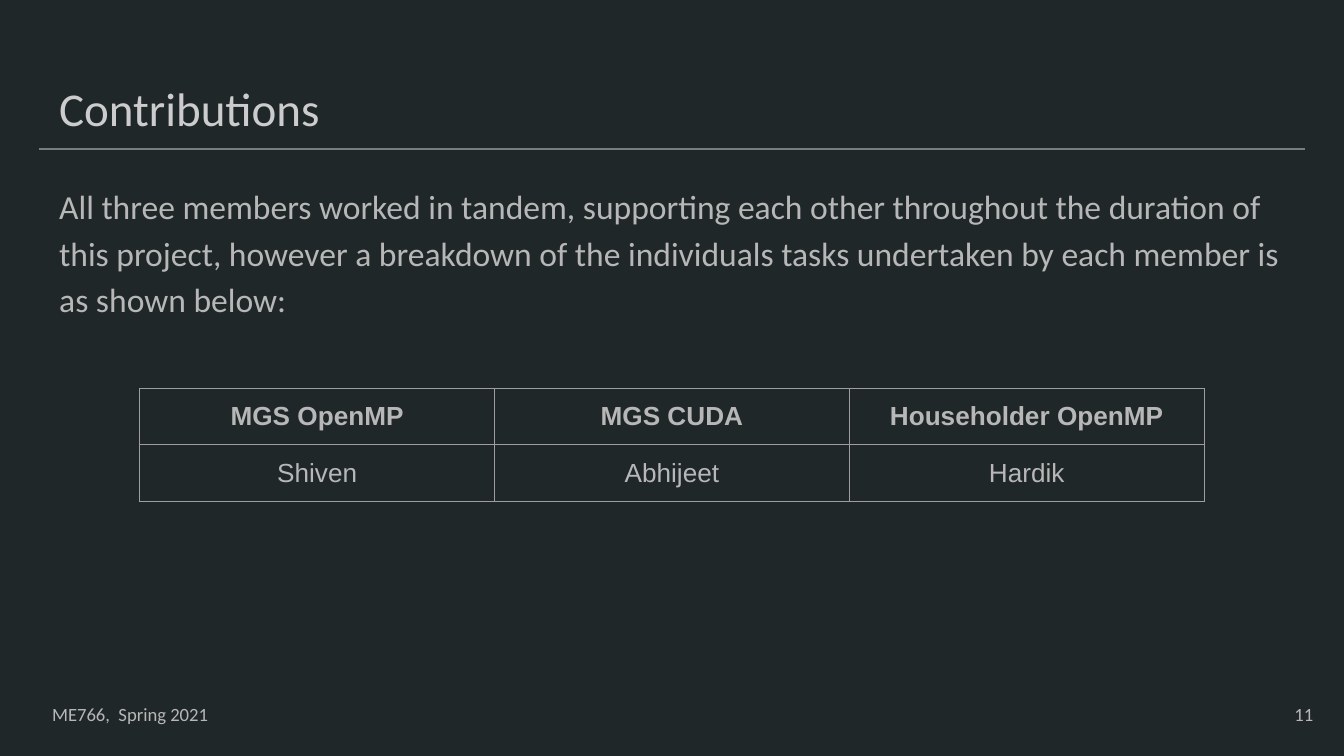
"""Build the Contributions slide: a title, a paragraph and a table of tasks."""
from lxml.etree import SubElement
from pptx import Presentation
from pptx.dml.color import RGBColor
from pptx.enum.shapes import MSO_CONNECTOR
from pptx.enum.text import MSO_ANCHOR, MSO_AUTO_SIZE, PP_ALIGN
from pptx.oxml import parse_xml
from pptx.oxml.ns import nsdecls, qn
from pptx.util import Inches, Pt

DARK = RGBColor(0x20, 0x27, 0x29)
PALE = RGBColor(0xCC, 0xCC, 0xCC)
GREY = RGBColor(0xB7, 0xB7, 0xB7)
EDGE = RGBColor(0x9E, 0x9E, 0x9E)
RULE = RGBColor(0x78, 0x7D, 0x7E)
PAD = Inches(0.1)

deck = Presentation()
deck.slide_width = Inches(10)
deck.slide_height = deck.slide_width * 9 // 16
wide, high = deck.slide_width, deck.slide_height
slide = deck.slides.add_slide(deck.slide_layouts[1])
slide.background.fill.solid()
slide.background.fill.fore_color.rgb = DARK


def place(shape, left, top, width, height):
    shape.left, shape.top = Inches(left), Inches(top)
    shape.width, shape.height = Inches(width), Inches(height)


def write(frame, text, size, color=GREY, align=PP_ALIGN.LEFT, font="Calibri"):
    frame.margin_left = frame.margin_right = PAD
    frame.margin_top = frame.margin_bottom = PAD
    frame.word_wrap = True
    frame.text = text
    para = frame.paragraphs[0]
    para.alignment = align
    para.font.size, para.font.name = Pt(size), font
    para.font.color.rgb = color
    return para


edge, level = Inches(0.29), Inches(1.11)
line = slide.shapes.add_connector(
    MSO_CONNECTOR.STRAIGHT, edge, level, wide - edge, level)
line.line.color.rgb = RULE
line.line.width = Pt(0.75)
SubElement(line._element.spPr, qn("a:effectLst"))

title, body = slide.shapes.title, slide.placeholders[1]
place(title, 0.34, 0.49, 9.32, 0.63)
place(body, 0.34, 1.24, 9.32, 3.86)
write(title.text_frame, "Contributions", 25.2, PALE)
para = write(
    body.text_frame,
    "All three members worked in tandem, supporting each other throughout the duration of "
    "this project, however a breakdown of the individuals tasks undertaken by each member is "
    "as shown below:", 18)
para.line_spacing = 1.15
para.space_before, para.space_after = Pt(0), Pt(12)
props = para._p.get_or_add_pPr()
props.set("marL", "0")
props.set("indent", "0")
SubElement(props, qn("a:buNone"))
props.append(props.find(qn("a:defRPr")))
for shape in (title, body):
    shape.text_frame.vertical_anchor = MSO_ANCHOR.TOP
    shape.text_frame.auto_size = MSO_AUTO_SIZE.NONE

tasks = [
    ["MGS OpenMP", "MGS CUDA", "Householder OpenMP"],
    ["Shiven", "Abhijeet", "Hardik"],
]
col, row = 2.64, 0.42
frame = slide.shapes.add_table(
    2, 3, Inches(1.04), Inches(2.89), Inches(3 * col), Inches(2 * row))
table = frame.table
table.first_row = table.horz_banding = False
for r, names in enumerate(tasks):
    for c, name in enumerate(names):
        cell = table.cell(r, c)
        cell.margin_left = cell.margin_right = PAD
        cell.margin_top = cell.margin_bottom = PAD
        para = write(cell.text_frame, name, 14, align=PP_ALIGN.CENTER, font="Arial")
        para.font.bold = r == 0
        cell_props = cell._tc.get_or_add_tcPr()
        for side in ("lnL", "lnR", "lnT", "lnB"):
            cell_props.append(parse_xml(
                f'<a:{side} {nsdecls("a")} w="{Pt(0.75)}"><a:solidFill>'
                f'<a:srgbClr val="{EDGE}"/></a:solidFill></a:{side}>'))
        cell.fill.background()

notes = [
    ("11", 9.27, 0.6, PP_ALIGN.RIGHT),
    ("ME766,  Spring 2021", 0.29, 1.63, PP_ALIGN.LEFT),
]
for text, left, width, align in notes:
    box = slide.shapes.add_textbox(
        Inches(left), Inches(5.1), Inches(width), Inches(0.43))
    write(box.text_frame, text, 10, align=align)
    box.text_frame.vertical_anchor = MSO_ANCHOR.MIDDLE

deck.save("out.pptx")
